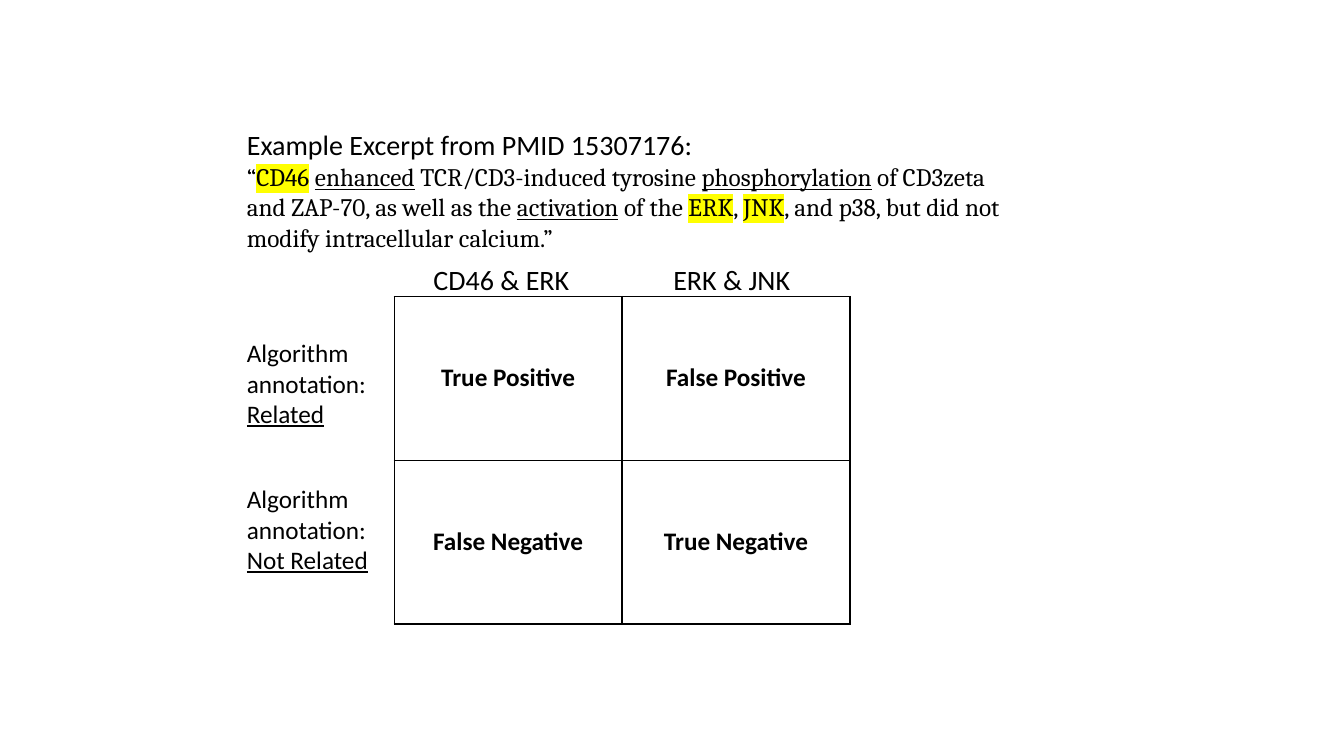
from lxml import etree
from pptx import Presentation
from pptx.dml.color import RGBColor
from pptx.enum.text import MSO_ANCHOR, PP_ALIGN
from pptx.oxml.ns import qn
from pptx.util import Inches, Pt

BLACK = RGBColor(0, 0, 0)
YELLOW = RGBColor(0xFF, 0xFF, 0)
CENTER, MIDDLE = PP_ALIGN.CENTER, MSO_ANCHOR.MIDDLE

LEFT = 2.35
TABLE_LEFT, TABLE_TOP = 3.91, 2.94
COLUMN_WIDTH, ROW_HEIGHT = 2.26, 1.625


def set_font(paragraph, size, name="Calibri", bold=False):
    font = paragraph.font
    font.size, font.name, font.bold = Pt(size), name, bold
    font.color.rgb = BLACK


def add_text(left, top, width, height, lines, size, wrap=True):
    """Add a text box whose lines are (text, underlined) pairs."""
    box = slide.shapes.add_textbox(Inches(left), Inches(top), Inches(width), Inches(height))
    frame = box.text_frame
    frame.word_wrap = wrap
    for index, (text, underlined) in enumerate(lines):
        paragraph = frame.add_paragraph() if index else frame.paragraphs[0]
        set_font(paragraph, size)
        run = paragraph.add_run()
        run.text = text
        if underlined:
            run.font.underline = True
    return frame


presentation = Presentation()
presentation.slide_width, presentation.slide_height = Inches(13.33), Inches(7.5)
slide = presentation.slides.add_slide(presentation.slide_layouts[6])

# Excerpt: "u" underlines a word, "h" highlights a gene name
excerpt = [
    ("“", ""), ("CD46", "h"), (" ", ""), ("enhanced", "u"),
    (" TCR/CD3-induced tyrosine ", ""), ("phosphorylation", "u"),
    (" of CD3zeta and ZAP-70, as well as the ", ""), ("activation", "u"),
    (" of the ", ""), ("ERK", "h"), (", ", ""), ("JNK", "h"),
    (", and p38, but did not modify intracellular calcium.”", ""),
]
frame = add_text(LEFT, 1.22, 7.8, 1.35, [("Example Excerpt from PMID 15307176:", False)], 20)
quote = frame.add_paragraph()
set_font(quote, 18, "Cambria")
for text, mark in excerpt:
    run = quote.add_run()
    run.text = text
    if mark == "u":
        run.font.underline = True
    elif mark == "h":
        highlight = etree.SubElement(run.font._element, qn("a:highlight"))
        etree.SubElement(highlight, qn("a:srgbClr"), val=str(YELLOW))

# Confusion matrix
outcomes = [("True Positive", "False Positive"), ("False Negative", "True Negative")]
table = slide.shapes.add_table(
    2, 2, Inches(TABLE_LEFT), Inches(TABLE_TOP),
    Inches(2 * COLUMN_WIDTH), Inches(2 * ROW_HEIGHT)).table
table.first_row = table.horz_banding = False
for row, names in enumerate(outcomes):
    for column, name in enumerate(names):
        cell = table.cell(row, column)
        cell.text = name
        cell.vertical_anchor = MIDDLE
        paragraph = cell.text_frame.paragraphs[0]
        paragraph.alignment = CENTER
        set_font(paragraph, 18, bold=True)
        properties = cell._tc.get_or_add_tcPr()
        for side in ("a:lnL", "a:lnR", "a:lnT", "a:lnB"):
            border = etree.SubElement(properties, qn(side), w=str(Pt(1)))
            fill = etree.SubElement(border, qn("a:solidFill"))
            etree.SubElement(fill, qn("a:srgbClr"), val=str(BLACK))
        cell.fill.background()

# Column headings
for left, width, pair in [(4.2, 1.56, "CD46 & ERK"), (6.58, 1.37, "ERK & JNK")]:
    add_text(left, 2.56, width, 0.44, [(pair, False)], 20, wrap=False)

# Row headings
for top, verdict in [(3.3, "Related"), (4.75, "Not Related")]:
    add_text(LEFT, top, 1.55, 1.01, [("Algorithm annotation:", False), (verdict, True)], 18)

presentation.save("out.pptx")
